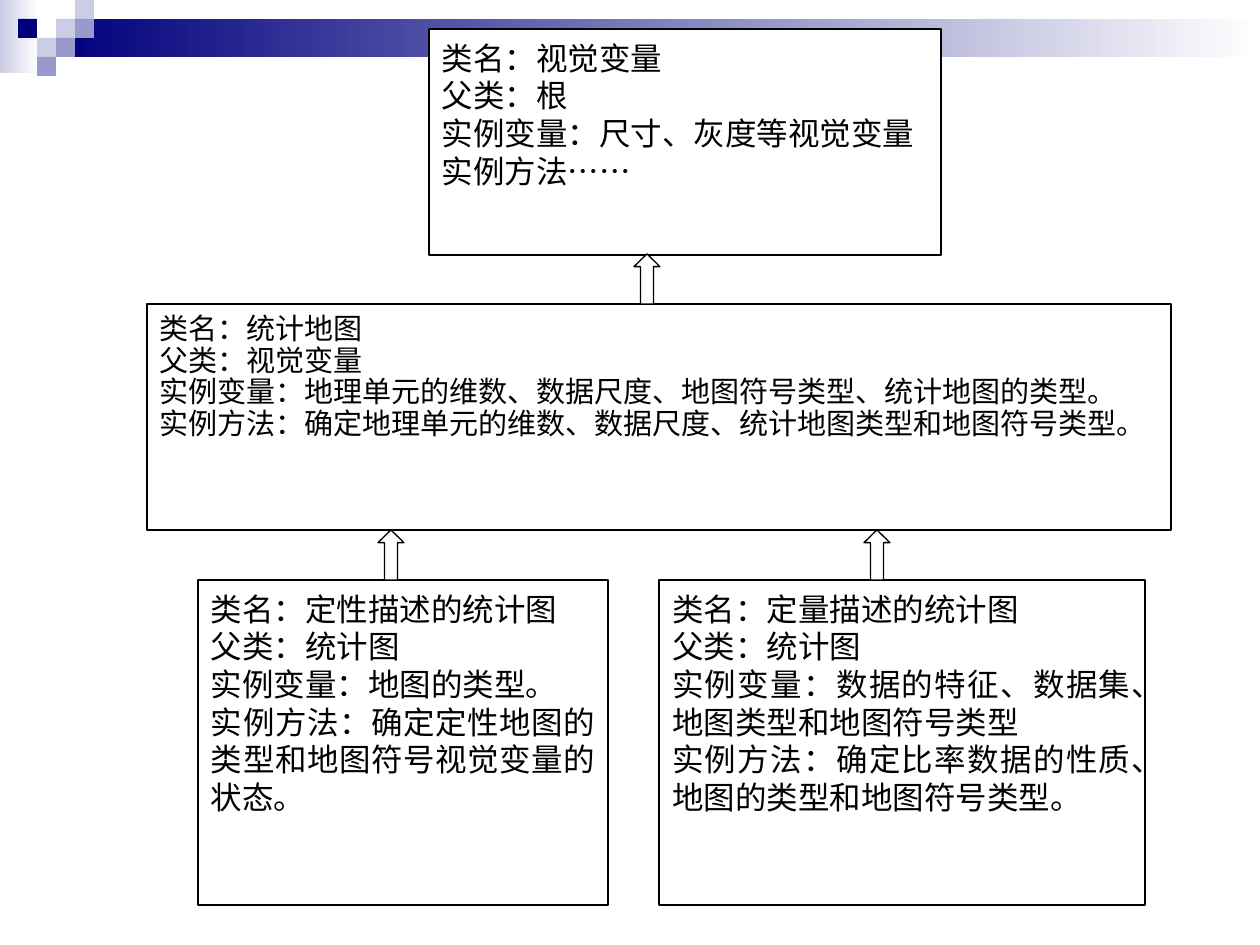
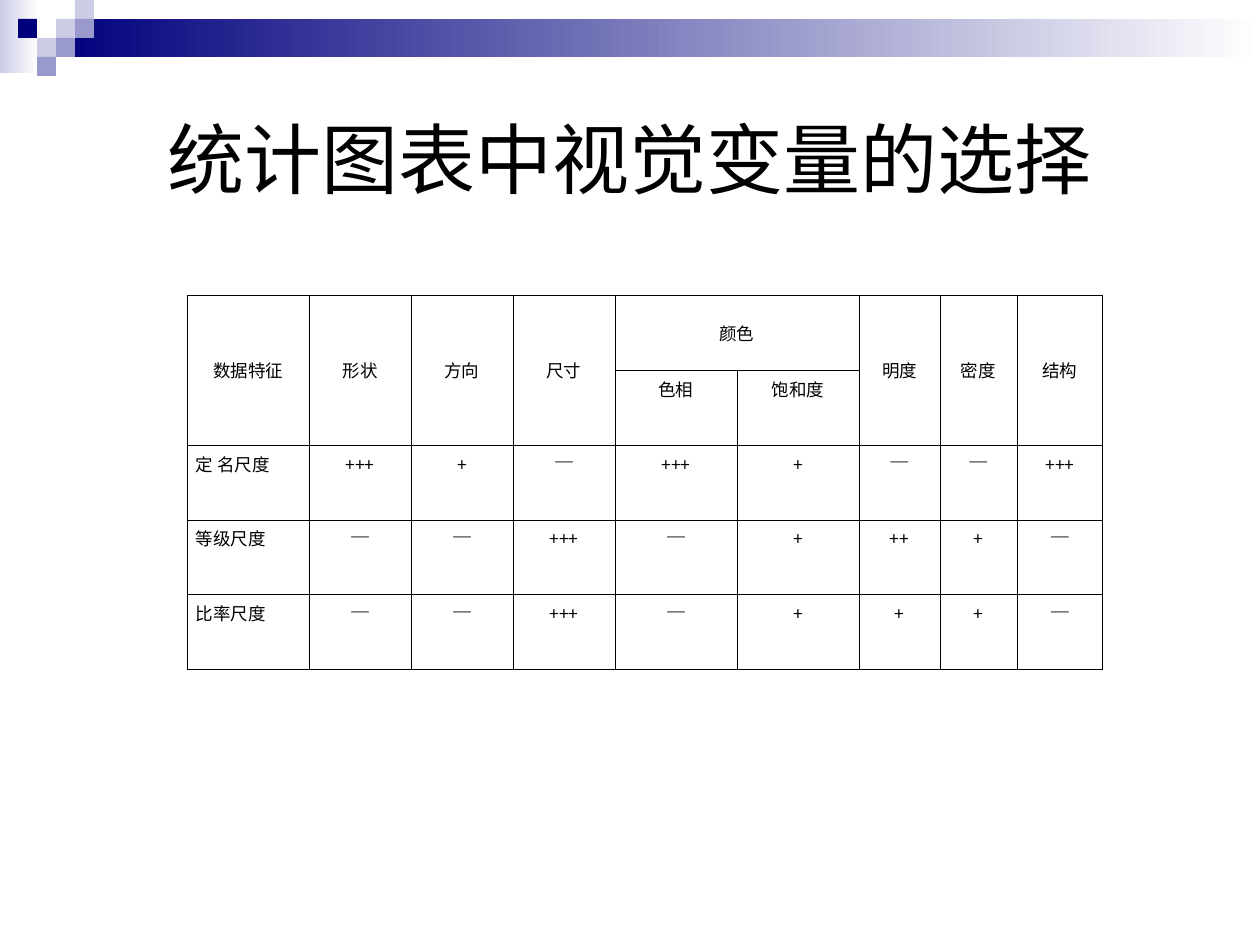
from lxml import etree
from pptx import Presentation
from pptx.dml.color import RGBColor
from pptx.enum.shapes import MSO_SHAPE
from pptx.enum.text import MSO_ANCHOR, PP_ALIGN
from pptx.oxml.ns import qn
from pptx.util import Emu, Pt

RECTANGLE, UP_ARROW = MSO_SHAPE.RECTANGLE, MSO_SHAPE.UP_ARROW
TOP, MIDDLE = MSO_ANCHOR.TOP, MSO_ANCHOR.MIDDLE
CENTER, JUSTIFY = PP_ALIGN.CENTER, PP_ALIGN.JUSTIFY

NAVY = RGBColor(0x00, 0x00, 0x7D)
LAVENDER = RGBColor(0xCC, 0xCC, 0xE6)
PERIWINKLE = RGBColor(0x99, 0x99, 0xCC)
WHITE = RGBColor(0xFF, 0xFF, 0xFF)
BLACK = RGBColor(0x00, 0x00, 0x00)

HAN_FONT = "Noto Sans CJK SC"
TITLE_FONT = "Arial"
TABLE_FONT = "Times New Roman"
DOTS_FONT = "Calibri"

SLIDE_BOX = (0, 0, 1260, 945)
TILE = 19
TILES = [
    (2, 1, LAVENDER), (3, 0, LAVENDER), (3, 1, PERIWINKLE), (1, 2, LAVENDER),
    (0, 1, NAVY), (2, 2, PERIWINKLE), (1, 3, PERIWINKLE),
]

CLASS_BOXES = [
    ((429, 29, 512, 226), 18, 21.5, [
        [("类名：视觉变量", HAN_FONT)],
        [("父类：根", HAN_FONT)],
        [("实例变量：尺寸、灰度等视觉变量", HAN_FONT)],
        [("实例方法", HAN_FONT), ("……", DOTS_FONT)],
    ]),
    ((147, 304, 1024, 226), 16.6, 18, [
        [("类名：统计地图", HAN_FONT)],
        [("父类：视觉变量", HAN_FONT)],
        [("实例变量：地理单元的维数、数据尺度、地图符号类型、统计地图的类型。", HAN_FONT)],
        [("实例方法：确定地理单元的维数、数据尺度、统计地图类型和地图符号类型。", HAN_FONT)],
    ]),
    ((198, 580, 410, 325), 18, 21.5, [
        [("类名：定性描述的统计图", HAN_FONT)],
        [("父类：统计图", HAN_FONT)],
        [("实例变量：地图的类型。", HAN_FONT)],
        [("实例方法：确定定性地图的类型和地图符号视觉变量的状态。", HAN_FONT)],
    ]),
    ((659, 580, 486, 325), 18, 21.5, [
        [("类名：定量描述的统计图", HAN_FONT)],
        [("父类：统计图", HAN_FONT)],
        [("实例变量：数据的特征、数据集、地图类型和地图符号类型", HAN_FONT)],
        [("实例方法：确定比率数据的性质、地图的类型和地图符号类型。", HAN_FONT)],
    ]),
]
INHERITANCE_ARROWS = [(634, 254), (378, 530), (864, 530)]

COLUMN_WIDTHS = [122, 102, 102, 102, 122, 122, 81, 77, 86]
ROW_HEIGHT = 75
COLOUR_COLUMN = 4
TABLE_ROWS = [
    ["数据特征", "形状", "方向", "尺寸", "颜色", "", "明度", "密度", "结构"],
    ["", "", "", "", "色相", "饱和度", "", "", ""],
    ["定 名尺度", "+++", "+", "—", "+++", "+", "—", "—", "+++"],
    ["等级尺度", "—", "—", "+++", "—", "+", "++", "+", "—"],
    ["比率尺度", "—", "—", "+++", "—", "+", "+", "+", "—"],
]


def px(length):
    return Emu(round(length * 914400 / 126))


def add_run(paragraph, text, font_name, size):
    run = paragraph.add_run()
    run.text = text
    run.font.name = font_name
    run.font.size = Pt(size)
    run.font.color.rgb = BLACK
    east_asian = etree.Element(qn("a:ea"), typeface=HAN_FONT)
    run.font._element.find(qn("a:latin")).addnext(east_asian)


def set_margins(holder, side, top, bottom):
    holder.margin_left = holder.margin_right = px(side)
    holder.margin_top = px(top)
    holder.margin_bottom = px(bottom)


def add_block(slide, preset, box, colour, outlined=False):
    block = slide.shapes.add_shape(preset, *map(px, box))
    block.shadow.inherit = False
    block.fill.solid()
    block.fill.fore_color.rgb = colour
    if outlined:
        block.line.color.rgb = BLACK
        block.line.width = Pt(0.75)
    else:
        block.line.fill.background()
    return block


def add_fade(slide, box, colour):
    fade = add_block(slide, RECTANGLE, box, colour)
    fade.fill.gradient()
    fade.fill.gradient_angle = 0
    for stop, stop_colour, position in zip(fade.fill.gradient_stops, (colour, WHITE), (0, 1)):
        stop.color.rgb = stop_colour
        stop.position = position


def add_header(slide, box):
    left, top, width, _ = box
    grid_left = left + 18
    band_left = grid_left + 2 * TILE
    add_fade(slide, (left, top, 39, 73), LAVENDER)
    add_fade(slide, (band_left, top + TILE, left + width - band_left, 2 * TILE), NAVY)
    for column, row, colour in TILES:
        tile_box = (grid_left + column * TILE, top + row * TILE, TILE, TILE)
        add_block(slide, RECTANGLE, tile_box, colour)


def add_class_box(slide, box, size, line_height, lines):
    frame = add_block(slide, RECTANGLE, box, WHITE, outlined=True).text_frame
    frame.word_wrap = True
    frame.vertical_anchor = TOP
    set_margins(frame, 13, 10, 6)
    for index, runs in enumerate(lines):
        paragraph = frame.add_paragraph() if index else frame.paragraphs[0]
        paragraph.alignment = JUSTIFY
        paragraph.line_spacing = Pt(line_height)
        for text, font_name in runs:
            add_run(paragraph, text, font_name, size)


def add_inheritance_arrow(slide, box):
    arrow = add_block(slide, UP_ARROW, box, WHITE, outlined=True)
    arrow.adjustments[0] = 0.5
    arrow.adjustments[1] = 0.49


def add_title(slide, box, text):
    frame = slide.shapes.add_textbox(*map(px, box)).text_frame
    frame.word_wrap = True
    frame.vertical_anchor = MIDDLE
    set_margins(frame, 13, 6, 6)
    frame.paragraphs[0].alignment = CENTER
    add_run(frame.paragraphs[0], text, TITLE_FONT, 44)


def add_borders(cell):
    properties = cell._tc.get_or_add_tcPr()
    for side in ("a:lnL", "a:lnR", "a:lnT", "a:lnB"):
        border = etree.SubElement(properties, qn(side), w=str(Pt(0.45)))
        fill = etree.SubElement(border, qn("a:solidFill"))
        etree.SubElement(fill, qn("a:srgbClr"), val=str(BLACK))


def fill_cell(cell, text, row, column):
    add_borders(cell)
    cell.fill.background()
    set_margins(cell, 9, 6, 6)
    cell.vertical_anchor = MIDDLE if row == 0 else TOP
    paragraph = cell.text_frame.paragraphs[0]
    paragraph.alignment = JUSTIFY if row > 1 and column == 0 else CENTER
    if text:
        add_run(paragraph, text, HAN_FONT if "+" in text else TABLE_FONT, 10)


def add_variable_table(slide, box):
    frame = slide.shapes.add_table(len(TABLE_ROWS), len(COLUMN_WIDTHS), *map(px, box))
    table = frame.table
    table.first_row = table.horz_banding = False
    for column, width in enumerate(COLUMN_WIDTHS):
        table.columns[column].width = px(width)
    for row, texts in enumerate(TABLE_ROWS):
        table.rows[row].height = px(ROW_HEIGHT)
        for column, text in enumerate(texts):
            fill_cell(table.cell(row, column), text, row, column)
    for column in range(len(COLUMN_WIDTHS)):
        if column not in (COLOUR_COLUMN, COLOUR_COLUMN + 1):
            table.cell(0, column).merge(table.cell(1, column))
    table.cell(0, COLOUR_COLUMN).merge(table.cell(0, COLOUR_COLUMN + 1))


def add_slide(deck):
    slide = deck.slides.add_slide(deck.slide_layouts[6])
    add_header(slide, SLIDE_BOX)
    return slide


def build_class_slide(deck):
    slide = add_slide(deck)
    for box, size, line_height, lines in CLASS_BOXES:
        add_class_box(slide, box, size, line_height, lines)
    for left, top in INHERITANCE_ARROWS:
        add_inheritance_arrow(slide, (left, top, 26, 50))


def build_table_slide(deck):
    slide = add_slide(deck)
    add_title(slide, (63, 63, 1134, 189), "统计图表中视觉变量的选择")
    table_box = (187, 295, sum(COLUMN_WIDTHS), ROW_HEIGHT * len(TABLE_ROWS))
    add_variable_table(slide, table_box)


def main():
    deck = Presentation()
    deck.slide_width, deck.slide_height = map(px, SLIDE_BOX[2:])
    build_class_slide(deck)
    build_table_slide(deck)
    deck.save("out.pptx")


if __name__ == "__main__":
    main()
